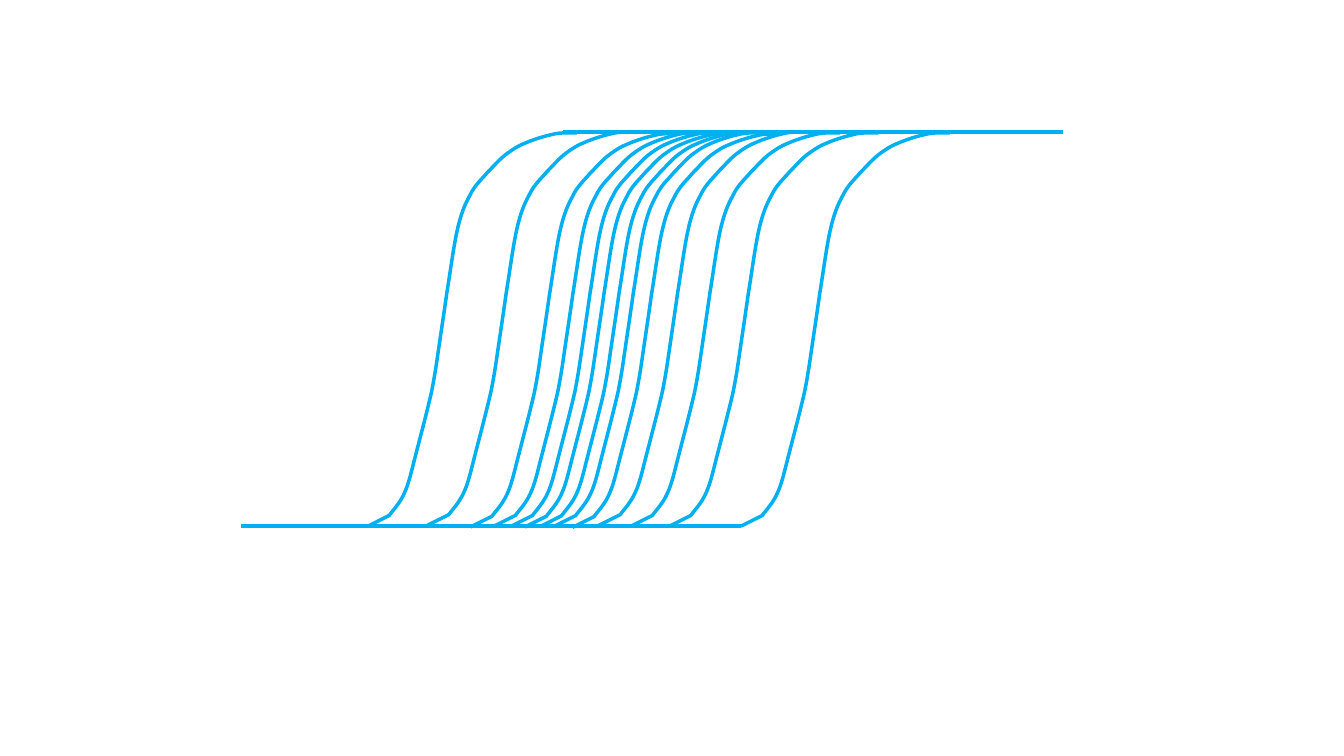
from itertools import chain

from lxml.etree import SubElement
from pptx import Presentation
from pptx.dml.color import RGBColor
from pptx.enum.shapes import MSO_CONNECTOR as Connector
from pptx.oxml.ns import qn
from pptx.util import Cm, Pt

LINE_COLOR = "00B0F0"
LINE_WIDTH = 2.5

# Left, right and height of the two plateaus, in cm
PLATEAUS = [(6.07, 18.67, 13.26), (14.2, 26.8, 3.33)]

# Foot of every S-curve, in cm
CURVE_FEET = [
    (9.27, 13.26), (18.67, 13.26), (15.09, 13.24), (12.45, 13.26),
    (16.87, 13.26), (10.77, 13.24), (14.43, 13.29), (13.23, 13.28),
    (13.61, 13.27), (11.86, 13.28), (15.9, 13.26), (13.97, 13.26),
    (12.88, 13.26),
]

# S-curve as rightward and upward distances from its foot, in cm:
# a straight start, then Bezier segments (two controls and an end), then a tip
CURVE_START = (0.54, 0.27)
CURVE_SEGMENTS = [
    ((0.64, 0.41), (0.81, 0.58), (0.92, 0.83)),
    ((1.03, 1.07), (1.08, 1.3), (1.19, 1.73)),
    ((1.3, 2.16), (1.51, 2.95), (1.61, 3.4)),
    ((1.7, 3.86), (1.73, 4.09), (1.79, 4.5)),
    ((1.85, 4.91), (1.92, 5.37), (1.99, 5.87)),
    ((2.07, 6.35), (2.16, 7.04), (2.25, 7.44)),
    ((2.34, 7.85), (2.44, 8.1), (2.57, 8.33)),
    ((2.69, 8.59), (2.87, 8.74), (3.02, 8.92)),
    ((3.19, 9.09), (3.34, 9.27), (3.51, 9.39)),
    ((3.66, 9.5), (3.78, 9.58), (3.96, 9.65)),
    ((4.14, 9.73), (4.42, 9.82), (4.6, 9.86)),
    ((4.78, 9.91), (4.9, 9.91), (5, 9.91)),
    ((5.11, 9.91), (5.21, 9.91), (5.21, 9.91)),
]
CURVE_TIP = (5.27, 9.91)


def style_line(line, color):
    line.color.rgb = RGBColor.from_string(color)
    line.width = Pt(LINE_WIDTH)


def bend_segments(curve):
    """Join each three inner line segments into one cubic Bezier segment."""
    segments = list(curve._element.iter(qn("a:lnTo")))[1:-1]
    for first, second, third in zip(segments[::3], segments[1::3], segments[2::3]):
        bezier = first.makeelement(qn("a:cubicBezTo"))
        first.addprevious(bezier)
        for segment in (first, second, third):
            bezier.append(segment[0])
            segment.getparent().remove(segment)


def add_s_curve(shapes, foot_x, foot_y):
    offsets = [CURVE_START, *chain.from_iterable(CURVE_SEGMENTS), CURVE_TIP]
    builder = shapes.build_freeform(Cm(foot_x), Cm(foot_y))
    vertices = [(Cm(foot_x + right), Cm(foot_y - up)) for right, up in offsets]
    builder.add_line_segments(vertices, close=False)
    curve = builder.convert_to_shape()
    bend_segments(curve)
    curve.fill.background()
    curve.shadow.inherit = False
    style_line(curve.line, LINE_COLOR)


def add_plateau(shapes, left, right, height):
    plateau = shapes.add_connector(
        Connector.STRAIGHT, Cm(left), Cm(height), Cm(right), Cm(height))
    style_line(plateau.line, LINE_COLOR)
    SubElement(plateau._element.spPr, qn("a:effectLst"))


def main():
    presentation = Presentation()
    presentation.slide_width = Cm(33.87)
    presentation.slide_height = Cm(19.05)
    slide = presentation.slides.add_slide(presentation.slide_layouts[6])
    shapes = slide.shapes.add_group_shape().shapes
    first_foot, *other_feet = CURVE_FEET
    add_s_curve(shapes, *first_foot)
    for plateau in PLATEAUS:
        add_plateau(shapes, *plateau)
    for foot in other_feet:
        add_s_curve(shapes, *foot)
    presentation.save("out.pptx")


if __name__ == "__main__":
    main()
